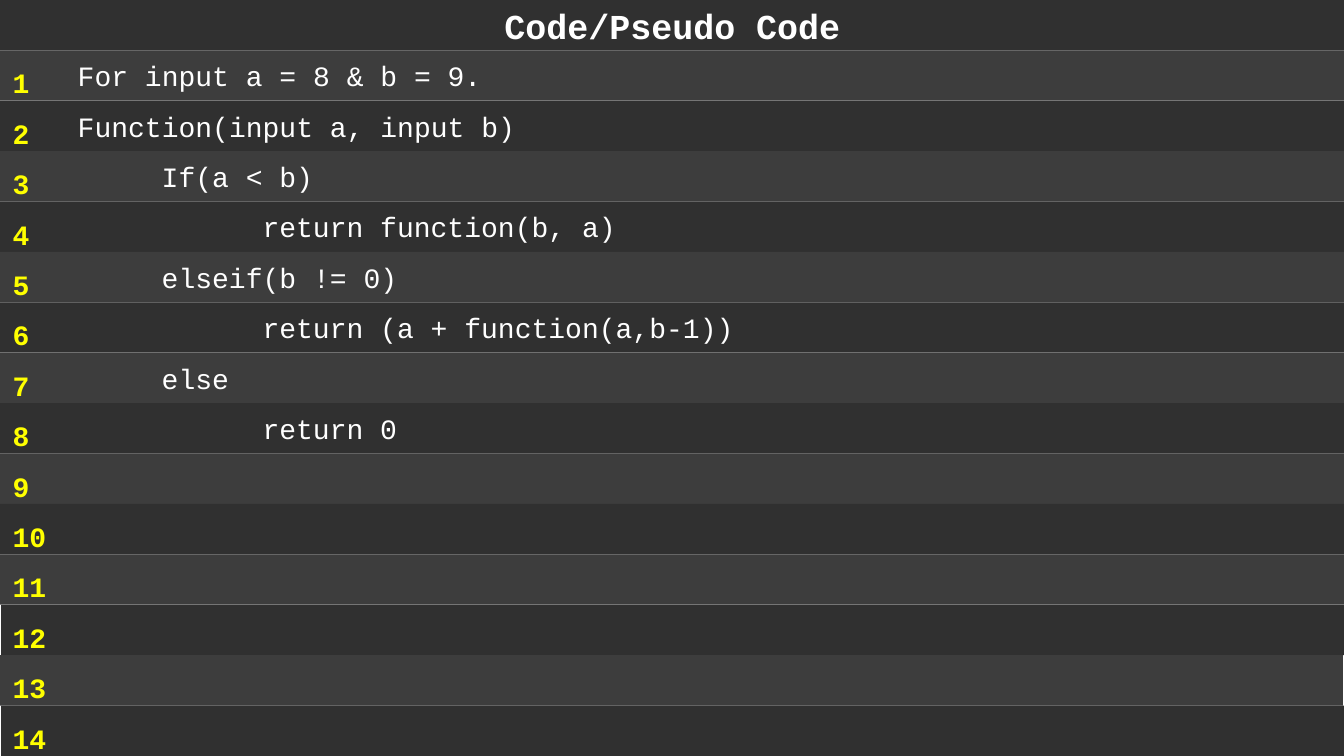
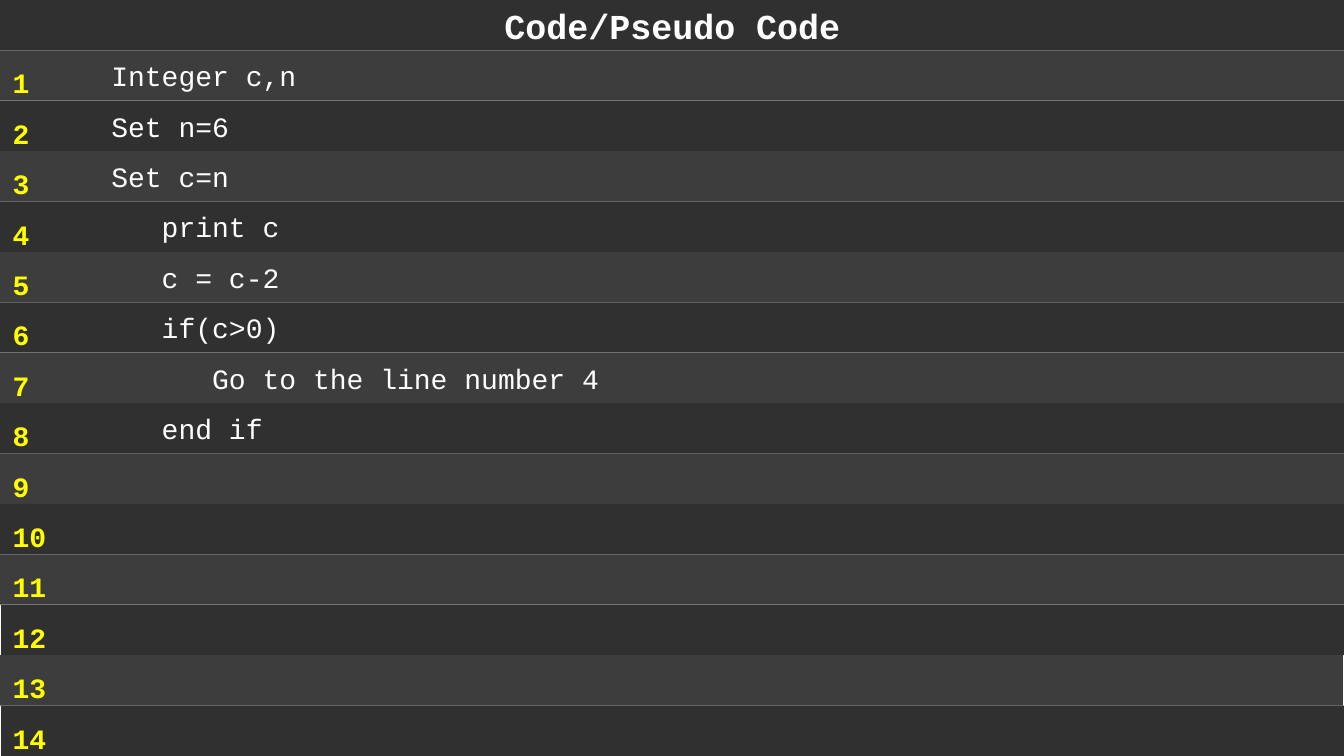
from pptx import Presentation
from pptx.dml.color import RGBColor
from pptx.enum.shapes import MSO_SHAPE
from pptx.enum.text import MSO_ANCHOR, MSO_AUTO_SIZE, PP_ALIGN
from pptx.util import Emu, Pt

# Shared look; lengths are px at 96 to the inch
EMU_PER_PX = 9525
SLIDE_W, SLIDE_H = 1280, 720
ROW_H = 48
ROW_COUNT = 14
INSET = 10
FONT = "Courier New"
DARK, LIGHT = "303030", "3D3D3D"
WHITE, YELLOW = "FFFFFF", "FFFF00"
TITLE = "Code/Pseudo Code"

# Rows that sit slightly off the left edge
ROW_SHIFT = {12: 1, 13: -1, 14: 1}

# Each listing line: (indent in px, code)
MULTIPLY_CODE = [
    (64, "For input a = 8 & b = 9."),
    (64, "Function(input a, input b)"),
    (144, "If(a < b)"),
    (240, "return function(b, a)"),
    (144, "elseif(b != 0)"),
    (240, "return (a + function(a,b-1))"),
    (144, "else"),
    (240, "return 0"),
]
COUNTDOWN_CODE = [
    (96, "Integer c,n"),
    (96, "Set n=6"),
    (96, "Set c=n"),
    (144, "print c"),
    (144, "c = c-2"),
    (144, "if(c>0)"),
    (192, "Go to the line number 4"),
    (144, "end if"),
]


def px(length):
    return Emu(length * EMU_PER_PX)


def color(hex_string):
    return RGBColor.from_string(hex_string)


def write_text(frame, text, *, size=20, fill=WHITE, bold=False,
               align=PP_ALIGN.LEFT, anchor=MSO_ANCHOR.MIDDLE,
               indent=0, spacing=1.0):
    """Write one paragraph per line of text."""
    frame.word_wrap = True
    frame.vertical_anchor = anchor
    frame.margin_left = px(INSET + indent)
    frame.text = text
    for paragraph in frame.paragraphs:
        paragraph.alignment = align
        paragraph.line_spacing = spacing
        font = paragraph.font
        for run in paragraph.runs:
            font = run.font
            font.name = FONT
            font.size = Pt(size)
            font.bold = bold
            font.color.rgb = color(fill)


def place_title(slide):
    title = slide.shapes.title
    title.left, title.top = px(0), px(0)
    title.width, title.height = px(SLIDE_W), px(ROW_H)
    title.fill.solid()
    title.fill.fore_color.rgb = color(DARK)
    title.text_frame.auto_size = MSO_AUTO_SIZE.NONE
    write_text(title.text_frame, TITLE, size=25, bold=True,
               align=PP_ALIGN.CENTER)


def add_row(slide, number):
    row = slide.shapes.add_shape(
        MSO_SHAPE.RECTANGLE, px(ROW_SHIFT.get(number, 0)), px(number * ROW_H),
        px(SLIDE_W), px(ROW_H))
    row.shadow.inherit = False
    row.fill.solid()
    row.fill.fore_color.rgb = color(LIGHT if number % 2 else DARK)
    row.line.fill.background()
    return row


def add_line_numbers(slide):
    numbers = slide.shapes.add_textbox(px(2), px(42), px(54), px(684))
    text = "\n".join(str(n) for n in range(1, ROW_COUNT + 1))
    write_text(numbers.text_frame, text, fill=YELLOW, bold=True,
               anchor=MSO_ANCHOR.TOP, spacing=1.5)
    numbers.text_frame.auto_size = MSO_AUTO_SIZE.SHAPE_TO_FIT_TEXT


def add_code_slide(deck, listing):
    slide = deck.slides.add_slide(deck.slide_layouts[5])
    place_title(slide)
    rows = [add_row(slide, n) for n in range(1, ROW_COUNT + 1)]
    for row, (indent, code) in zip(rows, listing):
        write_text(row.text_frame, code, indent=indent)
    add_line_numbers(slide)


def main():
    deck = Presentation()
    deck.slide_width, deck.slide_height = px(SLIDE_W), px(SLIDE_H)
    for listing in (MULTIPLY_CODE, COUNTDOWN_CODE):
        add_code_slide(deck, listing)
    deck.save("out.pptx")


if __name__ == "__main__":
    main()
